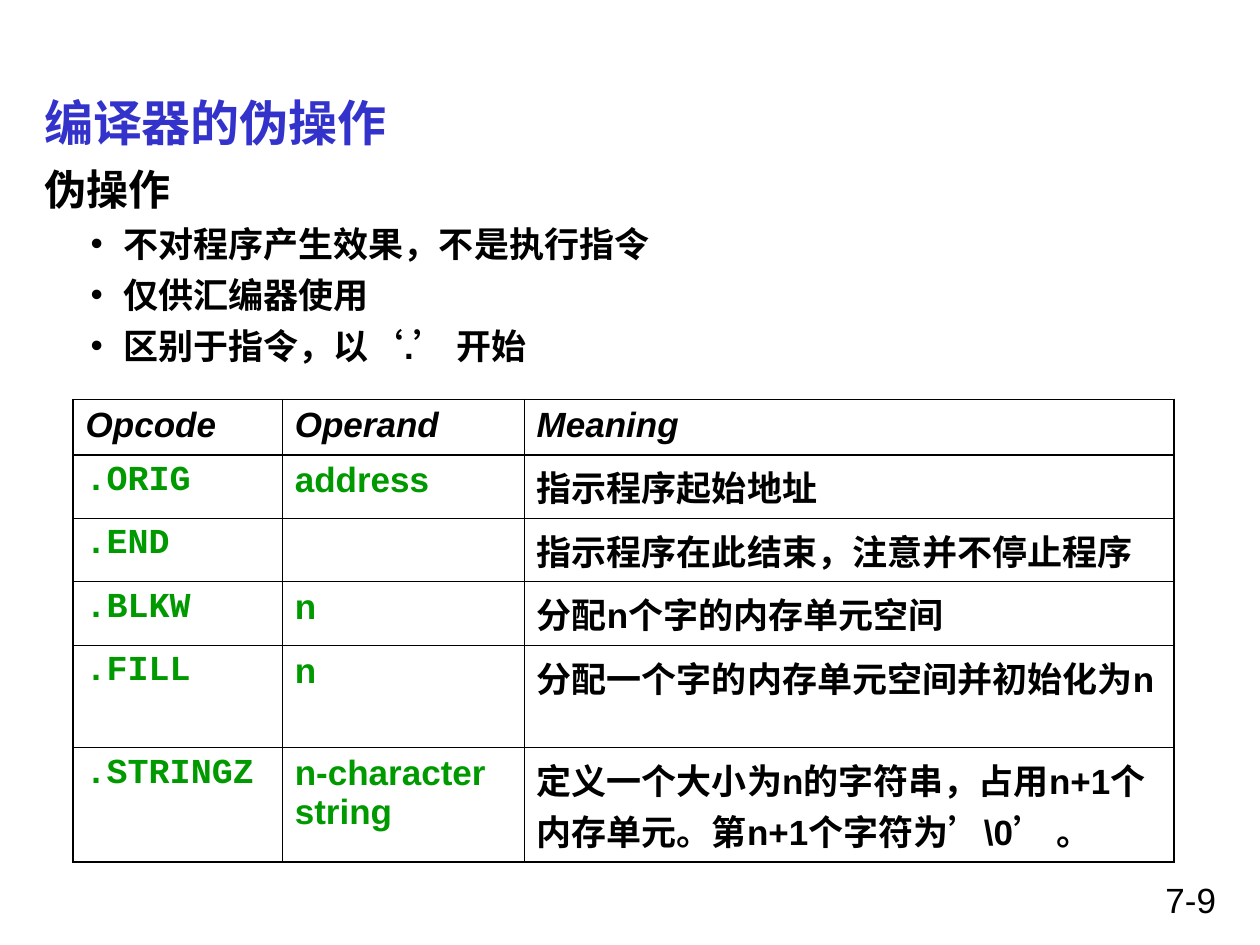
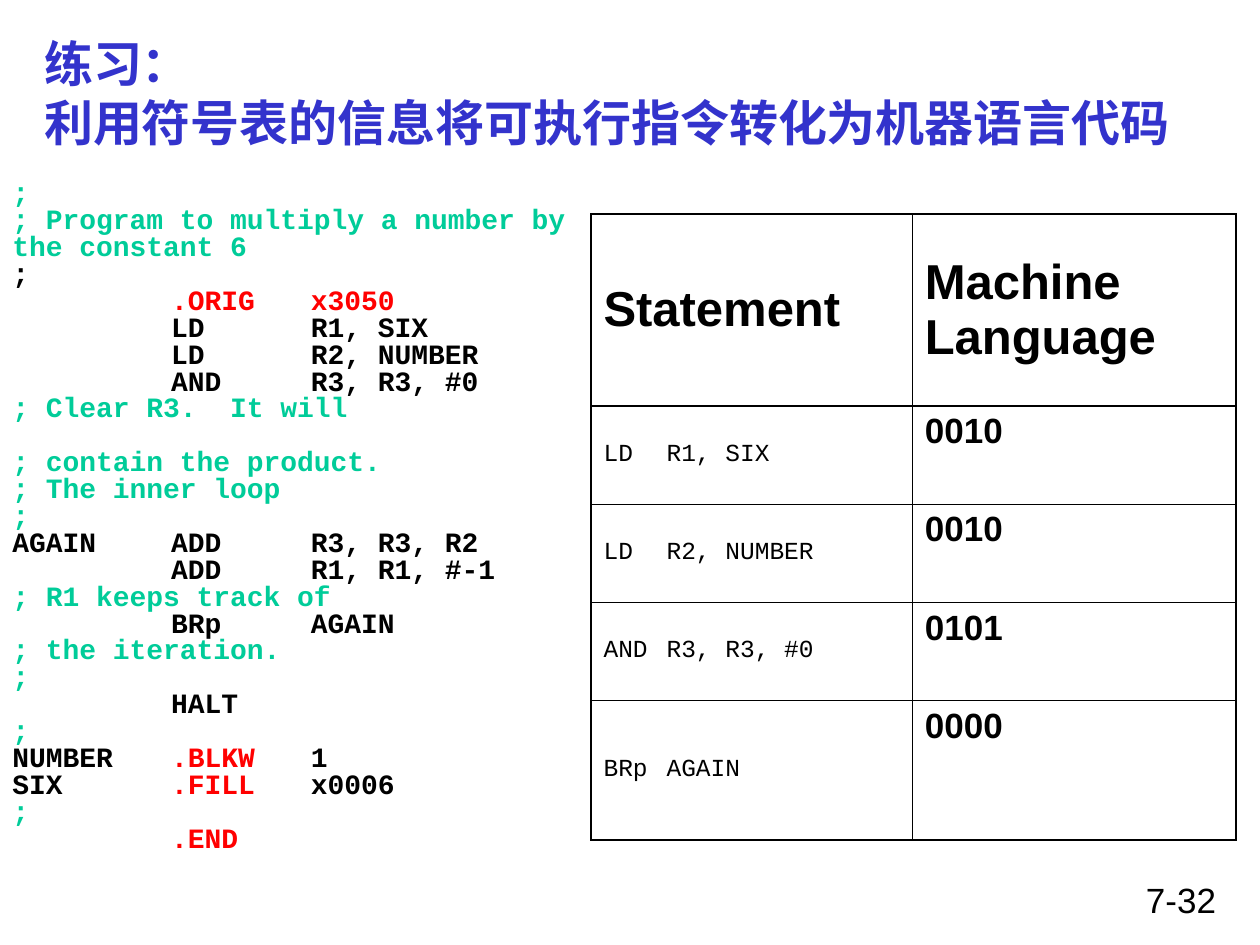
from lxml.etree import SubElement
from pptx import Presentation
from pptx.dml.color import RGBColor
from pptx.enum.text import MSO_ANCHOR, MSO_AUTO_SIZE, PP_ALIGN
from pptx.oxml.ns import qn
from pptx.util import Inches, Pt

BLACK, BLUE, GREEN, TEAL, RED = "000000", "3333CC", "009900", "00CC99", "FF0000"
SANS, MONO = "Arial", "Courier New"
THIN, THICK = 0.45, 1.08
TITLE_AT = (0.25, 0.67, 9.5, 0.58)
BODY_AT = (0.25, 1.25, 9.5, 1.78)
NUMBER_AT = (7.17, 6.92, 2.58, 0.42)
CODE_AT = (0, 1.39, 4.83, 5.42)
CODE_TABS = (1.26, 2.37, 4.57)

PSEUDO_TITLE = "编译器的伪操作"
PSEUDO_HEADING = "伪操作"
PSEUDO_POINTS = [
    "不对程序产生效果，不是执行指令",
    "仅供汇编器使用",
    "区别于指令，以‘.’ 开始",
]
PSEUDO_ROWS = [
    ("Opcode", "Operand", "Meaning"),
    (".ORIG", "address", "指示程序起始地址"),
    (".END", "", "指示程序在此结束，注意并不停止程序"),
    (".BLKW", "n", "分配n个字的内存单元空间"),
    (".FILL", "n", "分配一个字的内存单元空间并初始化为n"),
    (".STRINGZ", "n-character \nstring", "定义一个大小为n的字符串，占用n+1个内存单元。第n+1个字符为’\\0’ 。"),
]
PSEUDO_HEADER = dict(size=20, bold=True, italic=True)
PSEUDO_COLUMNS = [
    dict(size=20, bold=True, font=MONO, colour=GREEN),
    dict(size=20, bold=True, colour=GREEN),
    dict(size=20, bold=True),
]

EXERCISE_TITLE = "练习：\n利用符号表的信息将可执行指令转化为机器语言代码"
EXERCISE_ROWS = [
    ("Statement", "Machine Language"),
    ("LD\tR1, SIX", "0010"),
    ("LD\tR2, NUMBER", "0010"),
    ("AND\tR3, R3, #0", "0101"),
    ("BRp\tAGAIN", "0000"),
]
EXERCISE_HEADER = dict(size=28, bold=True, middle=True)
EXERCISE_COLUMNS = [
    dict(size=14, font=MONO, middle=True),
    dict(size=20, bold=True),
]
CODE = [
    [(";", TEAL)],
    [("; Program to multiply a number by the constant 6", TEAL)],
    [(";", BLACK)],
    [("\t", BLACK), (".ORIG\tx3050", RED)],
    [("\tLD\tR1, SIX", BLACK)],
    [("\tLD\tR2, NUMBER", BLACK)],
    [("\tAND\tR3, R3, #0\t", BLACK), ("; Clear R3.  It will", TEAL)],
    [("\t\t\t", BLACK), ("; contain the product.", TEAL)],
    [("; The inner loop", TEAL)],
    [(";", TEAL)],
    [("AGAIN\tADD\tR3, R3, R2", BLACK)],
    [("\tADD\tR1, R1, #-1\t", BLACK), ("; R1 keeps track of", TEAL)],
    [("\tBRp\tAGAIN\t", BLACK), ("; the iteration.", TEAL)],
    [(";", TEAL)],
    [("\tHALT", BLACK)],
    [(";", TEAL)],
    [("NUMBER\t", BLACK), (".BLKW\t", RED), ("1", BLACK)],
    [("SIX\t", BLACK), (".FILL\t", RED), ("x0006", BLACK)],
    [(";", TEAL)],
    [("\t", BLACK), (".END", RED)],
]


def inches(values):
    return [Inches(value) for value in values]


def add_span(para, text, size, font=SANS, colour=BLACK, bold=False, italic=False):
    """Add text to a paragraph, with a line break at each newline."""
    for index, line in enumerate(text.split("\n")):
        if index:
            para.add_line_break()
        span = para.add_run()
        span.text = line
        span.font.name, span.font.size = font, Pt(size)
        span.font.bold, span.font.italic = bold, italic
        span.font.color.rgb = RGBColor.from_string(colour)


def place(shape, at):
    shape.left, shape.top, shape.width, shape.height = inches(at)
    shape.text_frame.word_wrap = True
    shape.text_frame.auto_size = MSO_AUTO_SIZE.NONE
    return shape.text_frame


def add_paragraph(frame, index):
    return frame.add_paragraph() if index else frame.paragraphs[0]


def add_page(deck, layout, title, number):
    page = deck.slides.add_slide(deck.slide_layouts.get_by_name(layout))
    frame = place(page.shapes.title, TITLE_AT)
    frame.vertical_anchor = MSO_ANCHOR.BOTTOM  # a second line grows upwards
    frame.paragraphs[0].alignment = PP_ALIGN.LEFT
    add_span(frame.paragraphs[0], title, 28, colour=BLUE, bold=True)

    para = place(page.shapes.add_textbox(*inches(NUMBER_AT)), NUMBER_AT).paragraphs[0]
    para.alignment = PP_ALIGN.RIGHT
    add_span(para, number, 20)
    return page


def set_indent(para, left, hanging, bullet=None):
    properties = para._p.get_or_add_pPr()
    properties.set("marL", str(Inches(left)))
    properties.set("indent", str(Inches(-hanging)))
    if bullet:
        colour = SubElement(properties, qn("a:buClr"))
        SubElement(colour, qn("a:srgbClr"), val=BLACK)
        SubElement(properties, qn("a:buFont"), typeface=SANS)
        SubElement(properties, qn("a:buChar"), char=bullet)
    else:
        SubElement(properties, qn("a:buNone"))


def fill_body(page, heading, points):
    frame = place(page.placeholders[1], BODY_AT)
    for index, text in enumerate([heading, *points]):
        para = add_paragraph(frame, index)
        if index:
            para.level, para.space_before = 1, Pt(5)
            set_indent(para, 0.63, 0.26, "•")
        else:
            para.space_before = Pt(0)
            set_indent(para, 0, 0)
        add_span(para, text, 20 if index else 24, bold=True)


def set_borders(cell, widths):
    properties = cell._tc.get_or_add_tcPr()
    for side, width in zip("LRTB", widths):
        line = SubElement(properties, qn(f"a:ln{side}"), w=str(Pt(width)))
        fill = SubElement(line, qn("a:solidFill"))
        SubElement(fill, qn("a:srgbClr"), val=BLACK)


def add_ruled_table(page, at, widths, heights, rows, header, columns):
    """Add a table with thick lines round the outside and under the header."""
    table = page.shapes.add_table(len(rows), len(widths), *inches(at)).table
    table.first_row = table.horz_banding = False
    for column, width in zip(table.columns, widths):
        column.width = Inches(width)
    for row, height in zip(table.rows, heights):
        row.height = Inches(height)

    last_row, last_column = len(rows) - 1, len(widths) - 1
    for r, texts in enumerate(rows):
        for c, text in enumerate(texts):
            cell = table.cell(r, c)
            edges = (c == 0, c == last_column, r <= 1, r in (0, last_row))
            set_borders(cell, [THICK if edge else THIN for edge in edges])
            cell.fill.background()
            style = dict(columns[c] if r else header)
            if style.pop("middle", False):
                cell.vertical_anchor = MSO_ANCHOR.MIDDLE
            if text:
                add_span(cell.text_frame.paragraphs[0], text, **style)


def add_code(page):
    frame = place(page.shapes.add_textbox(*inches(CODE_AT)), CODE_AT)
    for index, line in enumerate(CODE):
        para = add_paragraph(frame, index)
        para.line_spacing = 0.8
        stops = SubElement(para._p.get_or_add_pPr(), qn("a:tabLst"))
        for position in CODE_TABS:
            SubElement(stops, qn("a:tab"), pos=str(Inches(position)), algn="l")
        for text, colour in line:
            add_span(para, text, 16, MONO, colour, bold=True)


def main():
    deck = Presentation()
    deck.slide_width, deck.slide_height = Inches(10), Inches(7.5)

    page = add_page(deck, "Title and Content", PSEUDO_TITLE, "7-9")
    fill_body(page, PSEUDO_HEADING, PSEUDO_POINTS)
    add_ruled_table(page, (0.58, 3.17, 8.75, 3.04), (1.66, 1.92, 5.16),
                    [0.44] * 4 + [0.77] * 2, PSEUDO_ROWS, PSEUDO_HEADER, PSEUDO_COLUMNS)

    page = add_page(deck, "Title Only", EXERCISE_TITLE, "7-32")
    add_ruled_table(page, (4.69, 1.7, 5.12, 4.96), (2.55, 2.57),
                    [1.52] + [0.78] * 3 + [1.11], EXERCISE_ROWS, EXERCISE_HEADER, EXERCISE_COLUMNS)
    add_code(page)

    deck.save("out.pptx")


if __name__ == "__main__":
    main()
